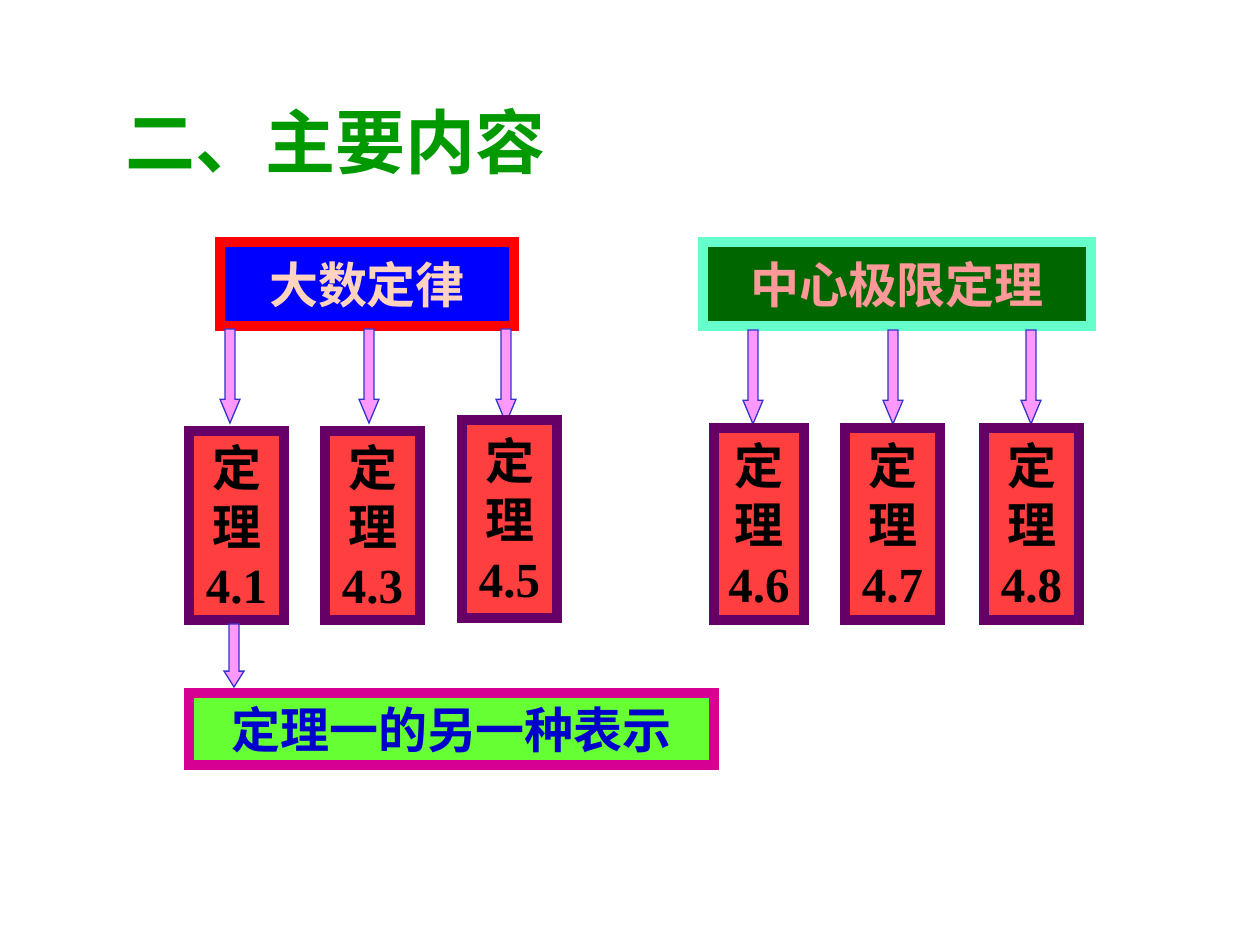
from lxml.etree import SubElement
from pptx import Presentation
from pptx.dml.color import RGBColor as RGB
from pptx.enum.shapes import MSO_SHAPE as Shape
from pptx.enum.text import MSO_ANCHOR as Anchor, MSO_AUTO_SIZE as Auto, PP_ALIGN as Align
from pptx.oxml.ns import qn
from pptx.util import Emu, Pt

SCALE = 914400 / 126
HUES = {
    "title": "009900", "arrow": "FF99FF", "edge": "3333CC",
    "blue": "0000FF", "red": "FF0000", "peach": "FFD3BD",
    "green": "006600", "mint": "66FFCC", "pink": "FF9999",
    "coral": "FF3F3F", "plum": "660066", "black": "000000",
    "lime": "66FF33", "rose": "D60093", "navy": "0000CC",
}
TITLE = "二、主要内容"
# Each head: text, frame, (fill, line, text) hues, arrow top,
# then its theorems as (number, arrow left, frame)
HEADS = [
    ("大数定律", (220, 242, 294, 84), ("blue", "red", "peach"), 329, [
        ("4.1", 220, (189, 431, 95, 189)),
        ("4.3", 359, (325, 431, 95, 189)),
        ("4.5", 496, (462, 420, 95, 198)),
    ]),
    ("中心极限定理", (703, 242, 388, 84), ("green", "mint", "pink"), 330, [
        ("4.6", 743, (714, 428, 90, 192)),
        ("4.7", 883, (845, 428, 95, 192)),
        ("4.8", 1021, (984, 428, 95, 192)),
    ]),
]
NOTE = ("定理一的另一种表示", (189, 693, 525, 72), ("lime", "rose", "navy"))


def px(num):
    return Emu(round(num * SCALE))


def hue(name):
    return RGB.from_string(HUES[name])


def style(item, fmt):
    for key, val in fmt.items():
        setattr(item, key, val)


def write(frame, lines, align, size, color):
    frame.text = "\n".join(lines)
    for para in frame.paragraphs:
        para.alignment = align
        style(para.font, {"size": Pt(size), "name": "Times New Roman", "bold": True})
        para.font.color.rgb = hue(color)


def draw(slide, kind, area, fill, line, width):
    shape = slide.shapes.add_shape(kind, *map(px, area))
    shape.shadow.inherit = False
    shape.fill.solid()
    shape.fill.fore_color.rgb = hue(fill)
    shape.line.color.rgb = hue(line)
    shape.line.width = Pt(width)
    # Square corners on the outline
    SubElement(shape.line._get_or_add_ln(), qn("a:miter"), lim="800000")
    return shape


def box(slide, lines, area, hues):
    fill, line, color = hues
    shape = draw(slide, Shape.RECTANGLE, area, fill, line, 6)
    style(shape.text_frame, {"word_wrap": False, "vertical_anchor": Anchor.MIDDLE})
    write(shape.text_frame, lines, Align.CENTER, 28, color)


def arrow(slide, left, top, tall, tip):
    shape = draw(slide, Shape.DOWN_ARROW, (left, top, 20, tall), "arrow", "edge", 0.75)
    shape.adjustments[0] = 0.5
    shape.adjustments[1] = tip


def main():
    deck = Presentation()
    style(deck, {"slide_width": px(1260), "slide_height": px(945)})
    slide = deck.slides.add_slide(deck.slide_layouts[5])

    title = slide.shapes.title
    style(title, dict(zip(("left", "top", "width", "height"), map(px, (113, 92, 1071, 97)))))
    write(title.text_frame, [TITLE], Align.LEFT, 40, "title")
    style(title.text_frame, {"auto_size": Auto.NONE, "vertical_anchor": Anchor.MIDDLE})

    for text, area, hues, top, parts in HEADS:
        box(slide, [text], area, hues)
        for num, left, place in parts:
            arrow(slide, left, top, 94, 1.19)
            box(slide, ["定", "理", num], place, ("coral", "plum", "black"))

    arrow(slide, 224, 624, 63, 0.79)
    text, area, hues = NOTE
    box(slide, [text], area, hues)
    deck.save("out.pptx")


if __name__ == "__main__":
    main()
